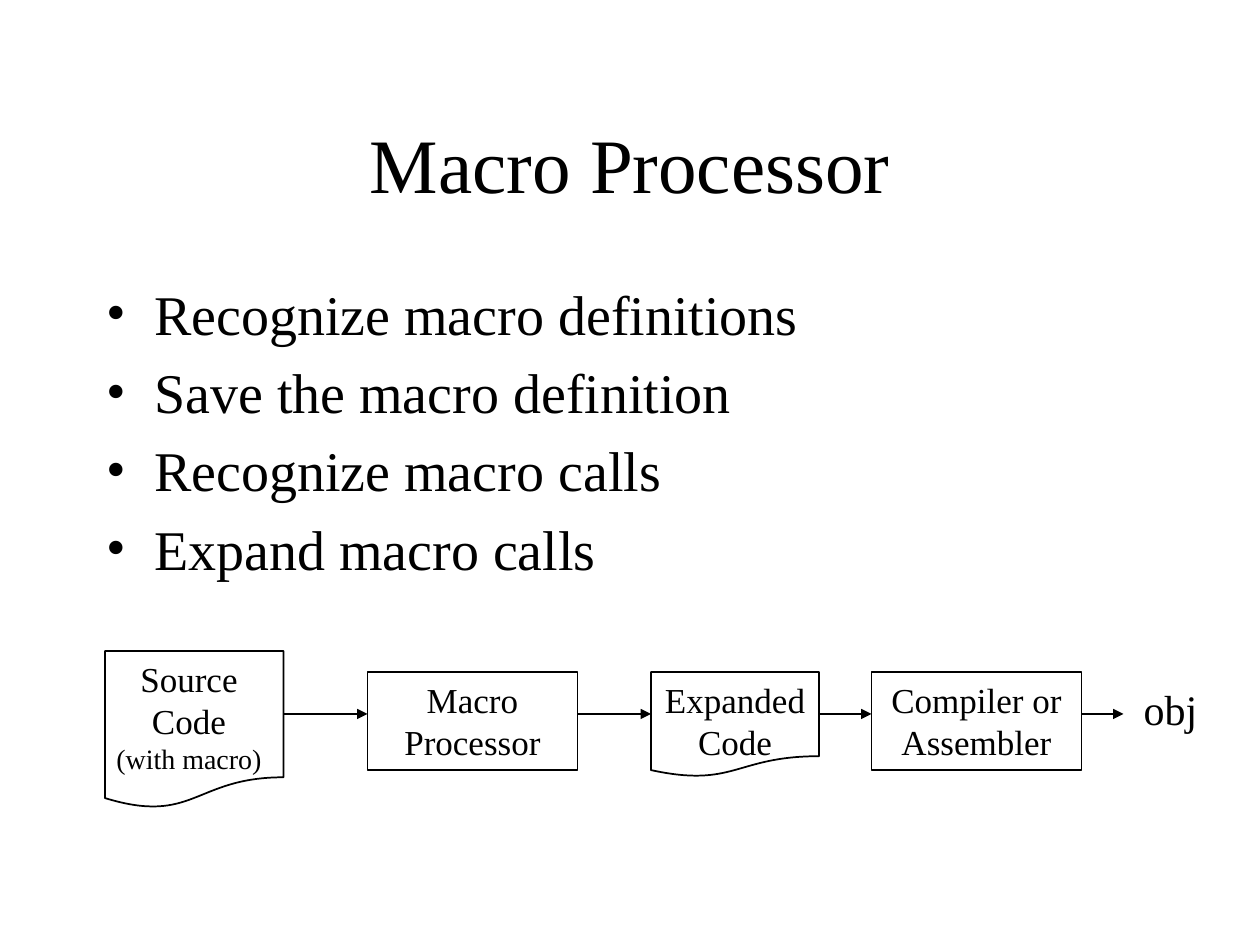
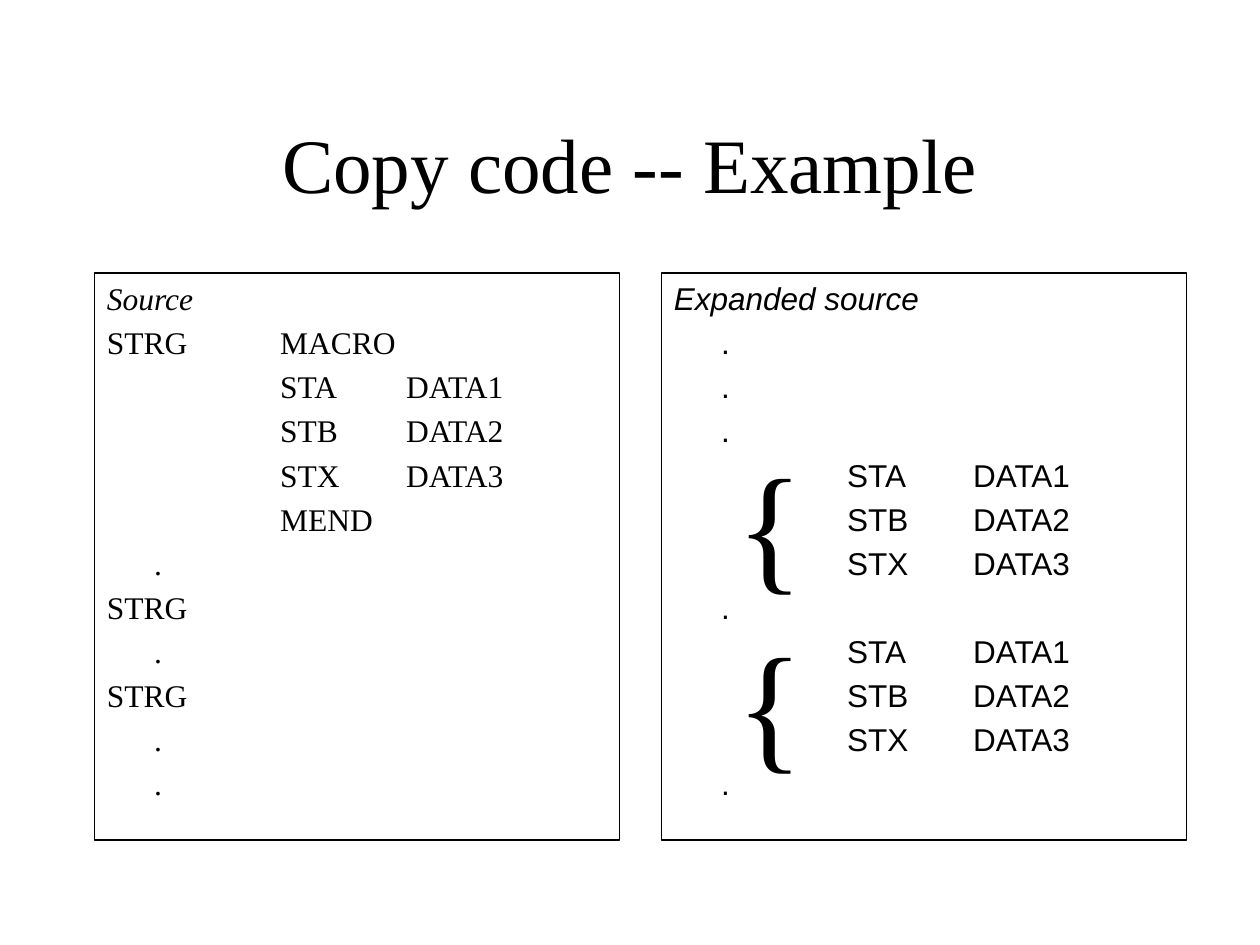
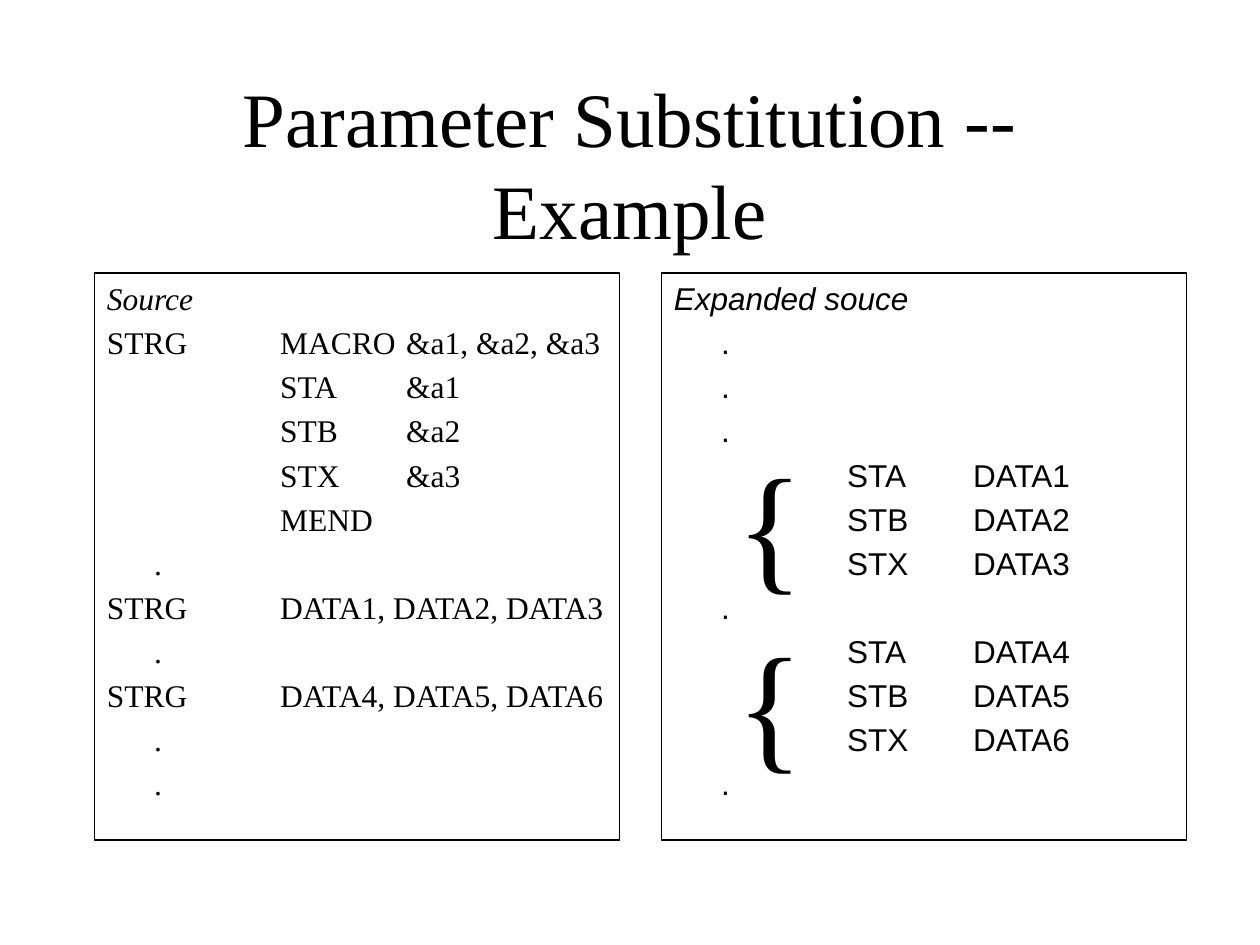
import pptx
import pptx.dml.color
import pptx.enum.shapes
import pptx.enum.text
import pptx.oxml
import pptx.oxml.ns
import pptx.util

BLACK = pptx.dml.color.RGBColor(0x00, 0x00, 0x00)
SERIF = "Times New Roman"
SANS = "Arial"
PX = 9525
HANG = 36
TAB = 96
SHAPE = pptx.enum.shapes.MSO_SHAPE
ALIGN = pptx.enum.text.PP_ALIGN
ANCHOR = pptx.enum.text.MSO_ANCHOR
DOT = "\t."
OPCODES = ("STA", "STB", "STX")


def px(*lengths):
    return [n * PX for n in lengths]


def set_attrs(obj, values):
    for name, value in values.items():
        setattr(obj, name, value)


def add_xml(parent, tag, **attrs):
    child = pptx.oxml.parse_xml(f"<a:{tag} {pptx.oxml.ns.nsdecls('a')}/>")
    for name, value in attrs.items():
        child.set(name, value)
    parent.append(child)


def write(sp, lines, size, name=SERIF, align=ALIGN.LEFT, anchor=ANCHOR.TOP,
          wrap=True, hanging=False, bullet=None):
    tf = sp.text_frame
    set_attrs(tf, {"word_wrap": wrap, "vertical_anchor": anchor})
    for i, line in enumerate(lines):
        p = tf.paragraphs[0] if i == 0 else tf.add_paragraph()
        p.alignment = align
        if hanging:
            pPr = p._p.get_or_add_pPr()
            for attr, length in (("marL", HANG), ("indent", -HANG),
                                 ("defTabSz", TAB)):
                pPr.set(attr, str(length * PX))
            if i:
                p.space_before = pptx.util.Pt(size / 5)
            if bullet:
                add_xml(pPr, "buFont", typeface=name)
                add_xml(pPr, "buChar", char=bullet)
        r = p.add_run()
        r.text = line
        set_attrs(r.font, {"name": name, "size": pptx.util.Pt(size)})
        r.font.color.rgb = BLACK
    return tf


def add_text(s, box, lines, size, **fmt):
    return write(s.shapes.add_textbox(*px(*box)), lines, size, **fmt)


def add_outline(s, kind, box, weight=1):
    sp = s.shapes.add_shape(kind, *px(*box))
    sp.shadow.inherit = False
    sp.fill.background()
    sp.line.color.rgb = BLACK
    sp.line.width = pptx.util.Pt(weight)
    return sp


def add_arrow(s, x1, x2, y):
    line = s.shapes.add_connector(
        pptx.enum.shapes.MSO_CONNECTOR.STRAIGHT, *px(x1, y, x2, y))
    line.line.color.rgb = BLACK
    line.line.width = pptx.util.Pt(1)
    add_xml(line.line._get_or_add_ln(), "tailEnd", type="triangle")
    add_xml(line._element.spPr, "effectLst")


def add_slide(prs, title):
    s = prs.slides.add_slide(prs.slide_layouts[6])
    add_text(s, (72, 64, 816, 120), [title], 44,
             align=ALIGN.CENTER, anchor=ANCHOR.MIDDLE)
    return s


def add_listing(s, x, lines, name, weight):
    sp = add_outline(s, SHAPE.RECTANGLE, (x, 208, 400, 432), weight)
    tf = write(sp, lines, 18, name=name, hanging=True)
    tf.paragraphs[0].runs[0].font.italic = True


def instructions(operands):
    return [f"\t\t{op}\t{arg}" for op, arg in zip(OPCODES, operands)]


def processor_slide(prs):
    s = add_slide(prs, "Macro Processor")
    add_text(s, (72, 208, 816, 432),
             ["Recognize macro definitions", "Save the macro definition",
              "Recognize macro calls", "Expand macro calls"],
             32, hanging=True, bullet="•")

    tf = add_text(s, (72, 496, 144, 99), ["Source Code", "(with macro)"], 20,
                  align=ALIGN.CENTER)
    tf.paragraphs[1].runs[0].font.size = pptx.util.Pt(16)
    add_outline(s, SHAPE.FLOWCHART_DOCUMENT, (80, 496, 136, 120))
    add_text(s, (496, 512, 128, 74), ["Expanded Code"], 20,
             align=ALIGN.CENTER)
    add_outline(s, SHAPE.FLOWCHART_DOCUMENT, (496, 512, 128, 80))
    for x, label in ((280, "Macro Processor"), (664, "Compiler or Assembler")):
        sp = add_outline(s, SHAPE.RECTANGLE, (x, 512, 160, 75))
        write(sp, [label], 20, align=ALIGN.CENTER)
    for x1, x2 in ((216, 280), (440, 496), (624, 664), (824, 856)):
        add_arrow(s, x1, x2, 544)
    add_text(s, (862, 516, 60, 48), ["obj"], 24, wrap=False)


def expansion_slide(prs, title, heading, params, body, calls, expansions):
    s = add_slide(prs, title)
    source = ["Source", "STRG\tMACRO" + params, *instructions(body),
              "\t\tMEND", DOT]
    for call in calls:
        source += ["STRG" + call, DOT]
    add_listing(s, 72, source + [DOT], SERIF, 0.75)

    expanded = [heading, DOT, DOT]
    for operands in expansions:
        expanded += [DOT, *instructions(operands)]
    add_listing(s, 504, expanded + [DOT], SANS, 1)
    for y, width in ((328, 35), (464, 59)):
        add_text(s, (552, y, width, 137), ["{"], 80)


def main():
    prs = pptx.Presentation()
    set_attrs(prs, {"slide_width": 960 * PX, "slide_height": 720 * PX})
    first = ("DATA1", "DATA2", "DATA3")
    second = ("DATA4", "DATA5", "DATA6")
    formal = ("&a1", "&a2", "&a3")
    processor_slide(prs)
    expansion_slide(prs, "Copy code -- Example", "Expanded source",
                    "", first, ("", ""), (first, first))
    expansion_slide(prs, "Parameter Substitution -- Example", "Expanded souce",
                    "\t" + ", ".join(formal), formal,
                    ["\t" + ", ".join(args) for args in (first, second)],
                    (first, second))
    prs.save("out.pptx")


if __name__ == "__main__":
    main()
